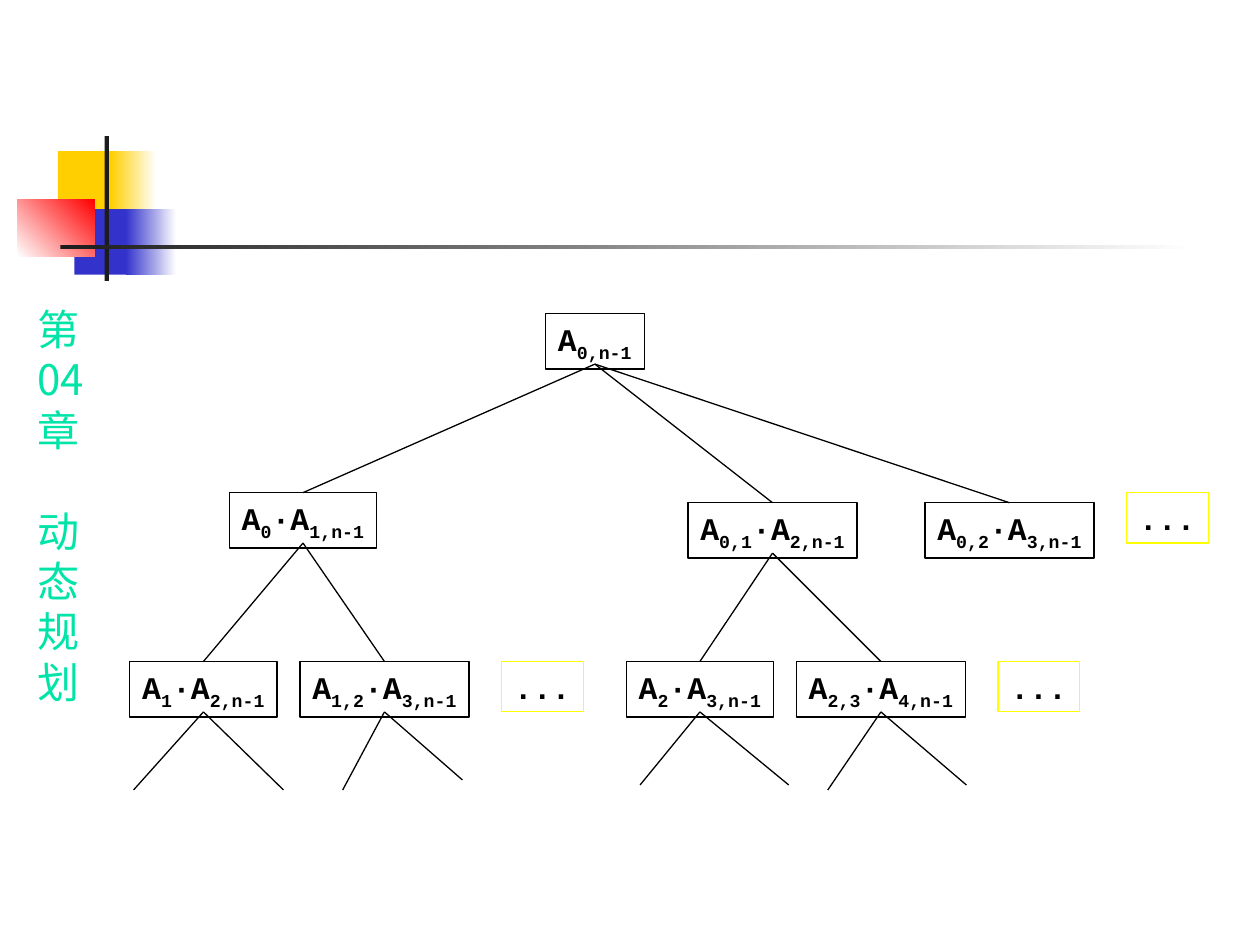
from dataclasses import dataclass
from typing import Optional

from pptx import Presentation
from pptx.dml.color import RGBColor
from pptx.enum.shapes import MSO_CONNECTOR, MSO_SHAPE
from pptx.enum.text import MSO_ANCHOR, PP_ALIGN
from pptx.oxml.ns import qn
from pptx.oxml.xmlchemy import OxmlElement
from pptx.util import Inches, Pt

COLORS = {
    "gold": "FFCF01", "blue": "3333CC", "red": "FF0000", "white": "FFFFFF",
    "ink": "1C1C1C", "mint": "00E4A8", "black": "000000", "yellow": "FFFF00",
}
COLUMNS, ROWS = 100, 75
LETTER, SUBSCRIPT, PADDING = 1.5, 0.866, 2
NODE_ROWS, DOTS_ROWS = 4.4, 4
CHAPTER = "第 04 章 动 态 规 划".split()
CHAPTER_PITCH = Pt(28.8)

prs = Presentation()
prs.slide_width, prs.slide_height = Inches(10), Inches(7.5)
slide = prs.slides.add_slide(prs.slide_layouts[6])


@dataclass(frozen=True)
class Band:
    col: float
    row: float
    cols: float
    rows: float
    start: str
    end: Optional[str] = None
    angle: float = 0


@dataclass(frozen=True)
class Node:
    col: float
    row: float
    subscripts: tuple[str, ...]
    parent: Optional[str] = None
    branches: tuple[tuple[float, float], ...] = ()


BANDS = [
    Band(4.6, 12, 4.8, 5.2, "gold"),
    Band(8.8, 12, 3.6, 5.2, "gold", "white"),
    Band(5.9, 16.6, 4.6, 5.2, "blue"),
    Band(10, 16.6, 4, 5.2, "blue", "white"),
    Band(1.4, 15.8, 6.1, 4.6, "white", "red", 45),
    Band(8.3, 10.8, 0.35, 11.5, "ink"),
    Band(4.8, 19.45, 90, 0.35, "ink", "white"),
]
NODES = {
    "root": Node(43.3, 24.9, ("0,n-1",)),
    "split 0": Node(18.2, 39.1, ("0", "1,n-1"), "root"),
    "split 1": Node(54.6, 39.9, ("0,1", "2,n-1"), "root"),
    "split 2": Node(73.4, 39.9, ("0,2", "3,n-1"), "root"),
    "split 0-1": Node(10.3, 52.5, ("1", "2,n-1"), "split 0", ((10.6, 62.7), (22.5, 62.7))),
    "split 0-2": Node(23.8, 52.5, ("1,2", "3,n-1"), "split 0", ((27.2, 62.7), (36.7, 61.9))),
    "split 1-2": Node(49.7, 52.5, ("2", "3,n-1"), "split 1", ((50.8, 62.3), (62.6, 62.3))),
    "split 1-3": Node(63.2, 52.5, ("2,3", "4,n-1"), "split 1", ((65.7, 62.7), (76.7, 62.3))),
}
MORE = [(89.4, 39.1), (39.8, 52.5), (79.2, 52.5)]


def x(cols: float) -> int:
    return round(prs.slide_width * cols / COLUMNS)


def y(rows: float) -> int:
    return round(prs.slide_height * rows / ROWS)


def rgb(name: str) -> RGBColor:
    return RGBColor.from_string(COLORS[name])


def add_rectangle(col: float, row: float, cols: float, rows: float):
    rectangle = slide.shapes.add_shape(MSO_SHAPE.RECTANGLE, x(col), y(row), x(cols), y(rows))
    rectangle.shadow.inherit = False
    return rectangle


def draw_band(band: Band) -> None:
    rectangle = add_rectangle(band.col, band.row, band.cols, band.rows)
    rectangle.line.fill.background()
    if band.end is None:
        rectangle.fill.solid()
        rectangle.fill.fore_color.rgb = rgb(band.start)
        return
    rectangle.fill.gradient()
    rectangle.fill.gradient_angle = band.angle
    for stop, name, position in zip(rectangle.fill.gradient_stops, (band.start, band.end), (0, 1)):
        stop.color.rgb = rgb(name)
        stop.position = position


def draw_chapter() -> None:
    frame = slide.shapes.add_textbox(x(2), y(23.6), x(5.8), y(33)).text_frame
    frame.word_wrap = False
    for index, word in enumerate(CHAPTER):
        line = frame.paragraphs[0] if index == 0 else frame.add_paragraph()
        line.text = word
        line.line_spacing = CHAPTER_PITCH
        if word == "动":
            line.space_before = CHAPTER_PITCH
        line.font.size = Pt(24)
        line.font.color.rgb = rgb("mint")
        line.font.name = "Noto Sans CJK JP"
        east_asian = OxmlElement("a:ea")
        east_asian.set("typeface", "Noto Sans CJK JP")
        line._p.pPr.find(qn("a:defRPr")).append(east_asian)


def draw_box(col: float, row: float, cols: float, rows: float, outline: str,
             parts: list[tuple[str, bool]]):
    box = add_rectangle(col, row, cols, rows)
    box.fill.background()
    box.line.color.rgb = rgb(outline)
    box.line.width = Pt(0.75)
    frame = box.text_frame
    frame.word_wrap = False
    frame.vertical_anchor = MSO_ANCHOR.TOP
    label = frame.paragraphs[0]
    label.alignment = PP_ALIGN.LEFT
    label.font.name = "Courier New"
    label.font.size = Pt(18)
    label.font.bold = True
    label.font.color.rgb = rgb("black")
    for text, lowered in parts:
        run = label.add_run()
        run.text = text
        if lowered:
            run._r.get_or_add_rPr().set("baseline", "-25000")
    return box


def draw_node(node: Node):
    parts = []
    for index, subscript in enumerate(node.subscripts):
        parts += [("·A" if index else "A", False), (subscript, True)]
    cols = PADDING + sum(len(text) * (SUBSCRIPT if low else LETTER) for text, low in parts)
    return draw_box(node.col, node.row, cols, NODE_ROWS, "black", parts)


def draw_branch(parent, end_x: int, end_y: int, child=None) -> None:
    start_x = parent.left + parent.width // 2
    start_y = parent.top + y(DOTS_ROWS)
    branch = slide.shapes.add_connector(MSO_CONNECTOR.STRAIGHT, start_x, start_y, end_x, end_y)
    branch.line.color.rgb = rgb("black")
    branch.line.width = Pt(0.75)
    branch._element.spPr.append(OxmlElement("a:effectLst"))
    if child is not None:
        branch.end_connect(child, 0)


def main() -> None:
    for band in BANDS:
        draw_band(band)
    draw_chapter()
    boxes = {key: draw_node(node) for key, node in NODES.items()}
    for col, row in MORE:
        draw_box(col, row, PADDING + 3 * LETTER, DOTS_ROWS, "yellow", [("...", False)])
    for key, node in NODES.items():
        box = boxes[key]
        if node.parent:
            draw_branch(boxes[node.parent], box.left + box.width // 2, box.top, box)
        for col, row in node.branches:
            draw_branch(box, x(col), y(row))
    prs.save("out.pptx")


if __name__ == "__main__":
    main()
